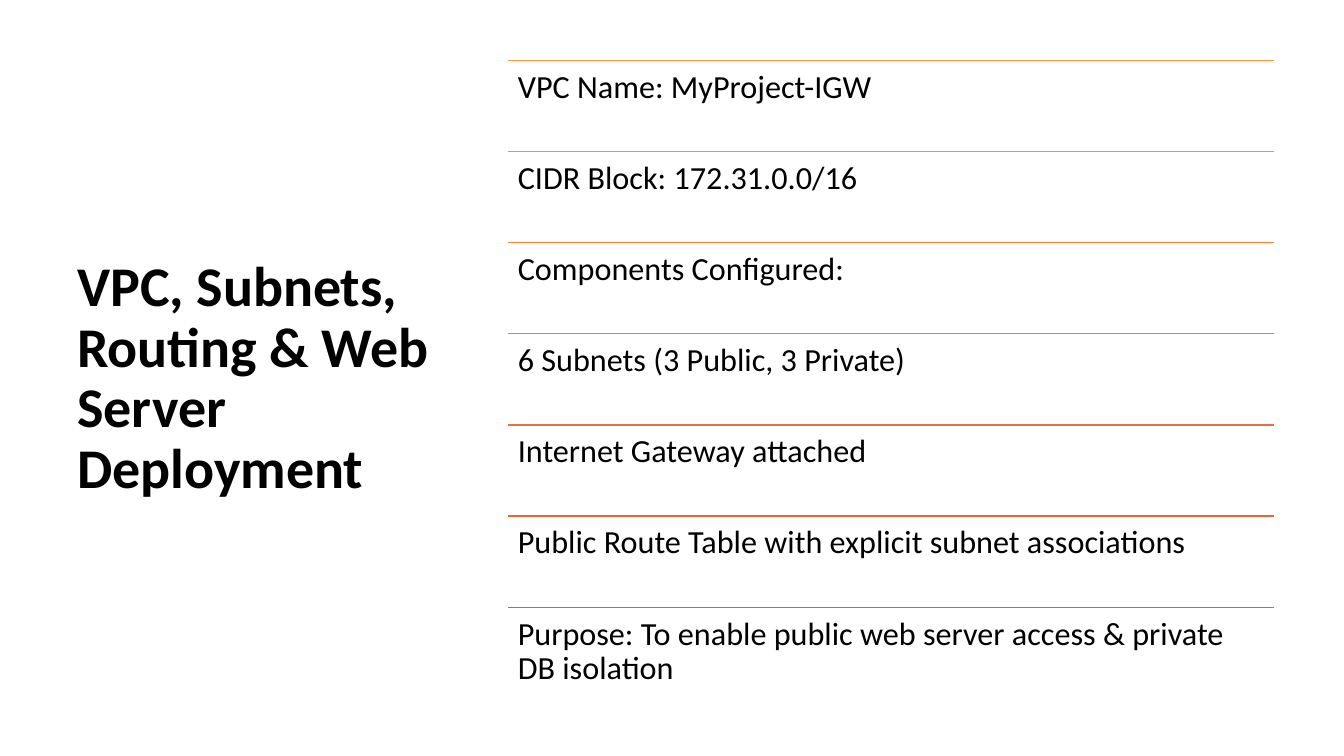
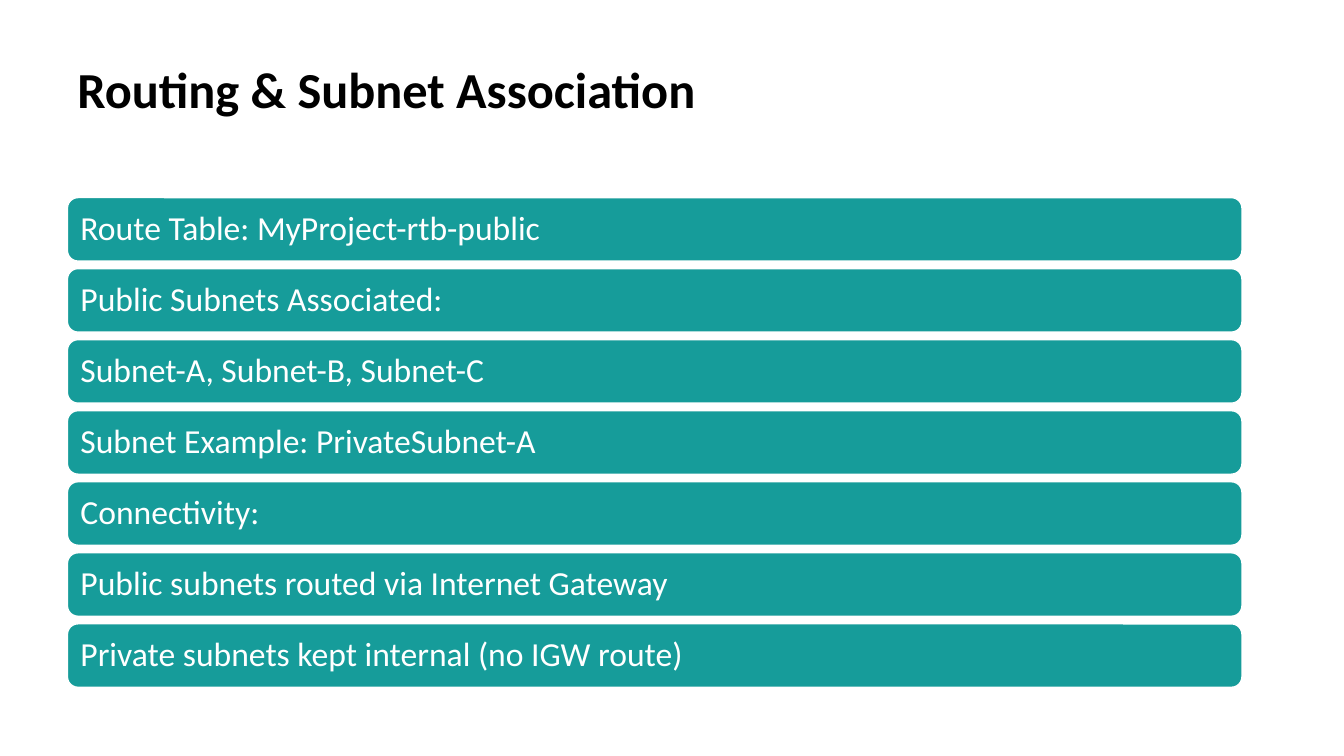
from lxml import etree
from pptx import Presentation
from pptx.dml.color import RGBColor
from pptx.enum.shapes import MSO_CONNECTOR as Connector, MSO_SHAPE as Preset
from pptx.enum.text import MSO_ANCHOR as Anchor, PP_ALIGN as Align
from pptx.oxml.ns import qn
from pptx.util import Cm, Pt

FONT = "Calibri"
BLACK, WHITE, TEAL = "000000", "FFFFFF", "169C9A"
SLIDE_WIDTH, SLIDE_HEIGHT = 33.87, 19.05
MARGIN_LEFT, MARGIN_TOP = 1.7, 1.52

VPC_ROWS = [
    ("VPC Name: MyProject-IGW", "FA9A42"),
    ("CIDR Block: 172.31.0.0/16", "F68F41"),
    ("Components Configured:", "F28440"),
    ("6 Subnets (3 Public, 3 Private)", "EE793F"),
    ("Internet Gateway attached", "EA6F3E"),
    ("Public Route Table with explicit subnet associations", "E6653D"),
    ("Purpose: To enable public web server access & private DB isolation", "E15C3D"),
]
ROUTING_BARS = [
    "Route Table: MyProject-rtb-public",
    "Public Subnets Associated:",
    "Subnet-A, Subnet-B, Subnet-C",
    "Subnet Example: PrivateSubnet-A",
    "Connectivity:",
    "Public subnets routed via Internet Gateway",
    "Private subnets kept internal (no IGW route)",
]


def color(value):
    return RGBColor.from_string(value)


def write(shape, text, size=24, fill=BLACK, bold=False, anchor=Anchor.TOP,
          inset_x=0.25, inset_y=0.25):
    """Fill a shape with one formatted, left-aligned paragraph."""
    frame = shape.text_frame
    frame.word_wrap = True
    frame.vertical_anchor = anchor
    frame.margin_left = frame.margin_right = Cm(inset_x)
    frame.margin_top = frame.margin_bottom = Cm(inset_y)
    paragraph = frame.paragraphs[0]
    paragraph.alignment = Align.LEFT
    paragraph.line_spacing = 0.9
    run = paragraph.add_run()
    run.text = text
    run.font.name = FONT
    run.font.size = Pt(size)
    run.font.bold = bold
    run.font.color.rgb = color(fill)


def add_text(slide, text, left, top, width, height, **style):
    box = slide.shapes.add_textbox(Cm(left), Cm(top), Cm(width), Cm(height))
    write(box, text, **style)


def add_title(slide, text, width, height, **style):
    add_text(slide, text, MARGIN_LEFT, MARGIN_TOP, width, height,
             bold=True, inset_y=0.13, **style)


def add_rule(slide, left, top, width, stroke):
    rule = slide.shapes.add_connector(
        Connector.STRAIGHT, Cm(left), Cm(top), Cm(left + width), Cm(top))
    rule.line.color.rgb = color(stroke)
    rule.line.width = Pt(1)
    etree.SubElement(rule._element.spPr, qn("a:effectLst"))


def add_bar(slide, text, left, top, width, height):
    bar = slide.shapes.add_shape(
        Preset.ROUNDED_RECTANGLE, Cm(left), Cm(top), Cm(width), Cm(height))
    bar.shadow.inherit = False
    bar.fill.solid()
    bar.fill.fore_color.rgb = color(TEAL)
    bar.line.color.rgb = color(WHITE)
    bar.line.width = Pt(1)
    write(bar, text, fill=WHITE, anchor=Anchor.MIDDLE, inset_x=0.25)


def add_ruled_list(slide, rows, left, top, width, height):
    row_height = height / len(rows)
    for index, (text, stroke) in enumerate(rows):
        row_top = top + index * row_height
        add_rule(slide, left, row_top, width, stroke)
        add_text(slide, text, left, row_top, width, row_height, size=23)


def add_bar_list(slide, texts, left, top, width, bar_height, gap):
    for index, text in enumerate(texts):
        add_bar(slide, text, left, top + index * (bar_height + gap), width, bar_height)


def add_slide(presentation):
    return presentation.slides.add_slide(presentation.slide_layouts[6])


def build_vpc_slide(presentation):
    slide = add_slide(presentation)
    height = 16.08
    add_title(slide, "VPC, Subnets, Routing & Web Server Deployment",
              9.7, height, size=40, anchor=Anchor.MIDDLE)
    add_ruled_list(slide, VPC_ROWS, 12.8, MARGIN_TOP, 19.3, height)


def build_routing_slide(presentation):
    slide = add_slide(presentation)
    width = 29.6
    add_title(slide, "Routing & Subnet Association", width, 3.15, size=36)
    add_bar_list(slide, ROUTING_BARS, MARGIN_LEFT, 4.98, width, bar_height=1.6, gap=0.19)


def main():
    presentation = Presentation()
    presentation.slide_width = Cm(SLIDE_WIDTH)
    presentation.slide_height = Cm(SLIDE_HEIGHT)
    build_vpc_slide(presentation)
    build_routing_slide(presentation)
    presentation.save("out.pptx")


if __name__ == "__main__":
    main()
